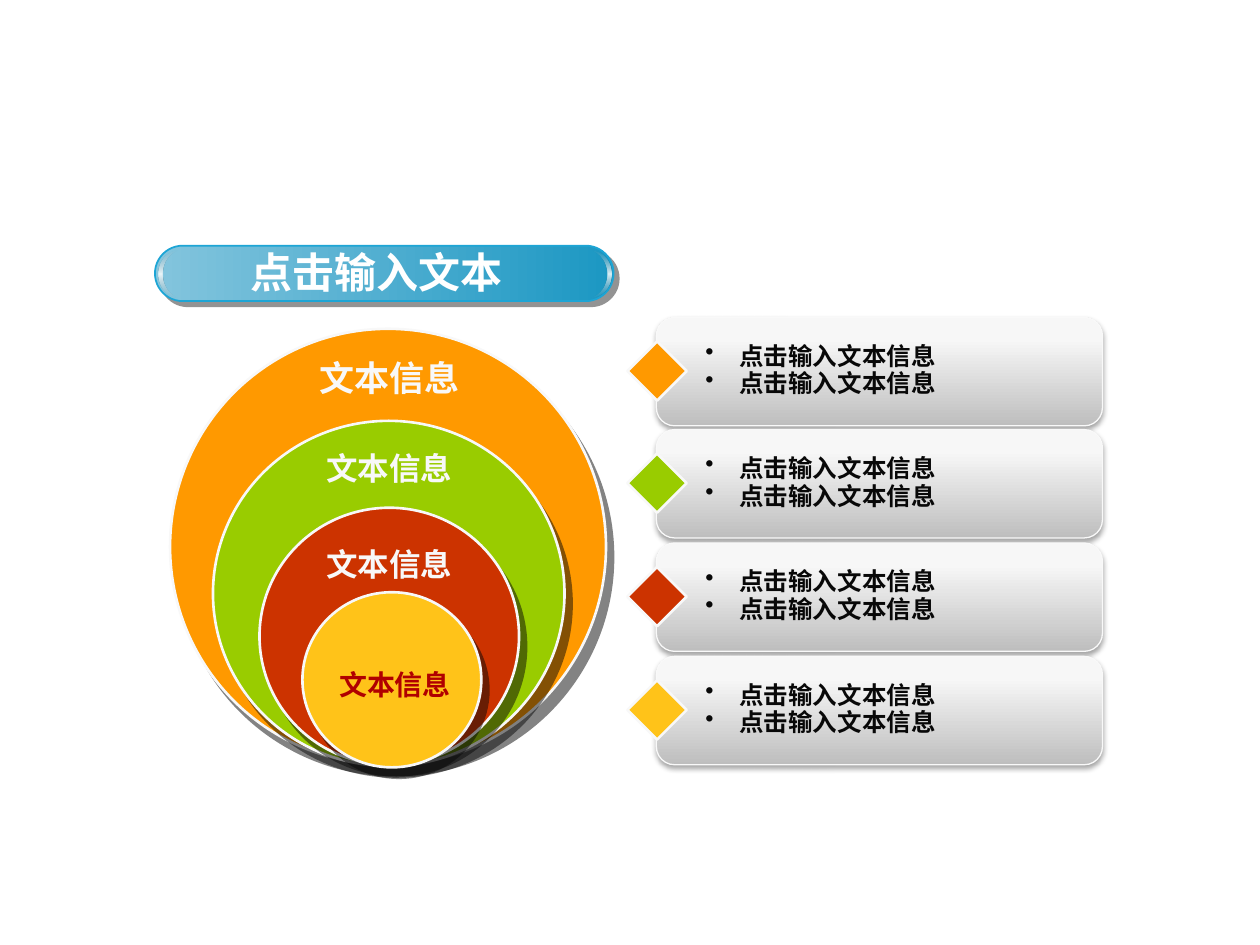
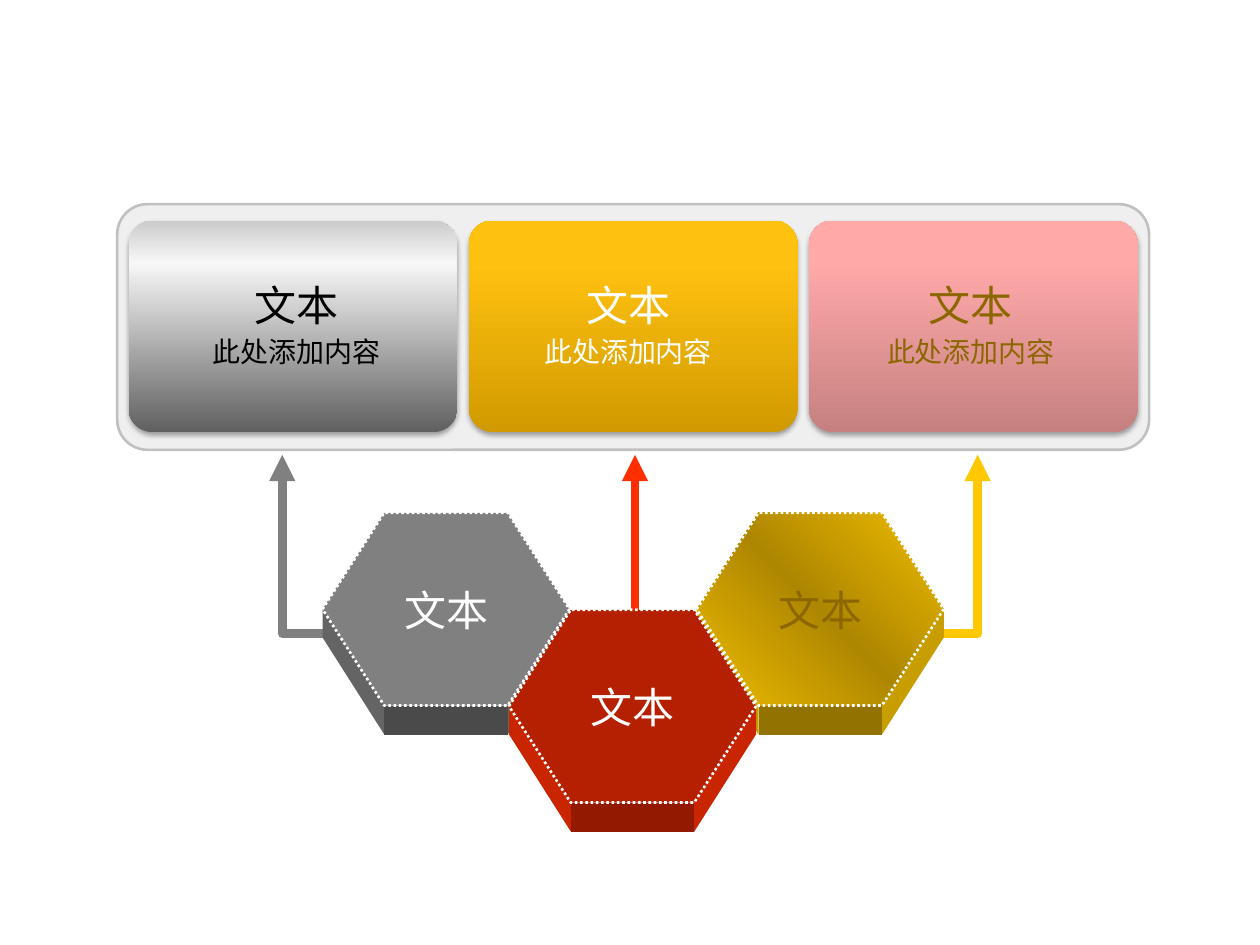
from dataclasses import dataclass
from typing import Any, Optional

import pptx
import pptx.dml.color
import pptx.enum.dml
import pptx.enum.shapes
import pptx.enum.text
import pptx.oxml
import pptx.oxml.ns
import pptx.util

PX = 9144  # one px is a hundredth of an inch
KIND = pptx.enum.shapes.MSO_SHAPE
ALIGN = pptx.enum.text.PP_ALIGN
ANCHOR = pptx.enum.text.MSO_ANCHOR
NAMESPACE = pptx.oxml.ns.nsdecls("a")
qn = pptx.oxml.ns.qn


@dataclass(frozen=True)
class Theme:
    body_font: str = "Arial"
    title_font: str = "Calibri"
    large: int = 24
    medium: int = 20
    normal: int = 18
    small: int = 16
    bullet: int = 14
    white: str = "FFFFFF"
    pale: str = "F8F8F8"
    black: str = "000000"
    ink: str = "080808"
    silver: str = "C0C0C0"
    tray: str = "EFEFEF"
    grey: str = "808080"
    red: str = "FF2F00"
    yellow: str = "FFC800"
    brown: str = "8C6700"
    crimson: str = "B00000"


THEME = Theme()


@dataclass(frozen=True)
class Box:
    left: int
    top: int
    width: int
    height: int

    def emu(self) -> list[int]:
        return [side * PX for side in (self.left, self.top, self.width, self.height)]


@dataclass(frozen=True)
class Stop:
    position: int
    color: str
    alpha: int = 100


@dataclass(frozen=True)
class Gradient:
    stops: tuple[Stop, ...]
    angle: int = 90  # counter-clockwise, 90 runs from bottom to top


@dataclass(frozen=True)
class Shadow:
    color: str
    alpha: int
    blur: float
    distance: float
    angle: int


@dataclass(frozen=True)
class Outline:
    color: str
    width: float
    dash: Any = None


@dataclass(frozen=True)
class Ring:
    box: Box
    color: str
    label_box: Box
    label_size: int
    label_color: str


@dataclass(frozen=True)
class Card:
    paint: Gradient
    text_left: int
    text_color: str


@dataclass(frozen=True)
class Hexagon:
    left: int
    top: int
    front: str | Gradient
    side: str
    base: str
    text_color: str


def rgb(color: str) -> pptx.dml.color.RGBColor:
    return pptx.dml.color.RGBColor.from_string(color)


def apply(target: Any, values: dict[str, Any]) -> None:
    for name, value in values.items():
        setattr(target, name, value)


def rise(low: str, high: str, top: str) -> Gradient:
    return Gradient((Stop(0, low), Stop(80, high), Stop(100, top)))


# Shared effects
SOFT_SHADOW = Shadow(THEME.black, 35, 3.1, 1.8, 90)
RING_SHADOW = Shadow(THEME.ink, 50, 0, 7.2, 56)
PILL_SHADOW = Shadow("292929", 50, 0, 4.2, 45)
DOTTED = Outline(THEME.white, 1.5, pptx.enum.dml.MSO_LINE.ROUND_DOT)
WHITE_EDGE = Outline(THEME.pale, 1.5)


def set_gradient(shape: Any, gradient: Gradient) -> None:
    shape.fill.gradient()
    shape.fill.gradient_angle = gradient.angle
    stop_list = shape.element.spPr.find(qn("a:gradFill")).find(qn("a:gsLst"))
    for old in list(stop_list):
        stop_list.remove(old)
    for stop in gradient.stops:
        stop_list.append(pptx.oxml.parse_xml(
            f'<a:gs {NAMESPACE} pos="{stop.position * 1000}"><a:srgbClr val="{stop.color}">'
            f'<a:alpha val="{stop.alpha * 1000}"/></a:srgbClr></a:gs>'))


def style(shape: Any, paint: str | Gradient | None, outline: Optional[Outline] = None,
          shadow: Optional[Shadow] = None) -> None:
    if isinstance(paint, Gradient):
        set_gradient(shape, paint)
    elif paint:
        shape.fill.solid()
        shape.fill.fore_color.rgb = rgb(paint)
    else:
        shape.fill.background()
    if outline:
        shape.line.color.rgb = rgb(outline.color)
        apply(shape.line, {"width": pptx.util.Pt(outline.width), "dash_style": outline.dash})
    else:
        shape.line.fill.background()
    shape.shadow.inherit = False
    if shadow:
        shape.element.spPr.find(qn("a:effectLst")).append(pptx.oxml.parse_xml(
            f'<a:outerShdw {NAMESPACE} blurRad="{pptx.util.Pt(shadow.blur)}" '
            f'dist="{pptx.util.Pt(shadow.distance)}" dir="{shadow.angle * 60000}" '
            f'algn="ctr" rotWithShape="0"><a:srgbClr val="{shadow.color}">'
            f'<a:alpha val="{shadow.alpha * 1000}"/></a:srgbClr></a:outerShdw>'))


def add_shape(page: Any, kind: Any, box: Box, paint: str | Gradient,
              outline: Optional[Outline] = None, shadow: Optional[Shadow] = None,
              adjust: Optional[float] = None) -> Any:
    shape = page.shapes.add_shape(kind, *box.emu())
    if adjust is not None:
        shape.adjustments[0] = adjust
    style(shape, paint, outline, shadow)
    return shape


def add_outline_shape(page: Any, points: list[tuple[int, int]], closed: bool) -> Any:
    builder = page.shapes.build_freeform(*points[0], scale=PX)
    builder.add_line_segments(points[1:], close=closed)
    return builder.convert_to_shape()


def write_span(para: Any, text: str, size: int, color: str, bold: bool = False,
               font: str = THEME.body_font) -> None:
    span = para.add_run()
    span.text = text
    apply(span.font, {"size": pptx.util.Pt(size), "bold": bold, "name": font})
    span.font.color.rgb = rgb(color)


def add_label(page: Any, box: Box, text: str, size: int, color: str, bold: bool = False) -> None:
    frame = page.shapes.add_textbox(*box.emu()).text_frame
    apply(frame, {"word_wrap": True, "vertical_anchor": ANCHOR.MIDDLE})
    frame.paragraphs[0].alignment = ALIGN.CENTER
    write_span(frame.paragraphs[0], text, size, color, bold)


def add_bullets(page: Any, box: Box, lines: list[str]) -> None:
    frame = page.shapes.add_textbox(*box.emu()).text_frame
    frame.word_wrap = True
    for index, text in enumerate(lines):
        para = frame.add_paragraph() if index else frame.paragraphs[0]
        properties = para._p.get_or_add_pPr()
        properties.set("marL", str(27 * PX))
        properties.set("indent", str(-27 * PX))
        properties.append(pptx.oxml.parse_xml(f'<a:buChar {NAMESPACE} char="•"/>'))
        apply(para, {"line_spacing": 0.7, "space_before": pptx.util.Pt(4 if index else 0)})
        write_span(para, text, THEME.bullet, THEME.ink, True)


def add_arrowhead(line_shape: Any) -> None:
    line_shape.line._get_or_add_ln().append(
        pptx.oxml.parse_xml(f'<a:tailEnd {NAMESPACE} type="triangle"/>'))


def add_hexagon(page: Any, hexagon: Hexagon) -> None:
    width, height, corner, depth = 196, 153, 49, 23
    left, right = hexagon.left, hexagon.left + width
    middle, bottom = hexagon.top + height // 2, hexagon.top + height
    lower_left, lower_right = (left + corner, bottom), (right - corner, bottom)
    # Side faces below the three lower edges
    for start, end, color in (((left, middle), lower_left, hexagon.side),
                              (lower_right, (right, middle), hexagon.side),
                              (lower_left, lower_right, hexagon.base)):
        points = [start, end, (end[0], end[1] + depth), (start[0], start[1] + depth)]
        style(add_outline_shape(page, points, True), color)
    add_shape(page, KIND.HEXAGON, Box(left, hexagon.top, width, height), hexagon.front,
              DOTTED, adjust=0.32)
    add_label(page, Box(left + 18, hexagon.top + 52, 160, 50), "文本", THEME.large,
              hexagon.text_color)


def build_rings_page(deck: Any) -> None:
    page = deck.slides.add_slide(deck.slide_layouts[5])

    # Title pill with a gleam at each end
    add_shape(page, KIND.ROUNDED_RECTANGLE, Box(123, 195, 364, 44),
              Gradient((Stop(0, "84C5DD"), Stop(100, "1B97C3")), 0),
              Outline("1DA5D5", 1), PILL_SHADOW, 0.5)
    gleam = Gradient((Stop(0, "B6B6B6", 0), Stop(50, THEME.white, 84), Stop(100, "B6B6B6", 0)))
    for left, rotation in ((469, 180), (126, 0)):
        moon = add_shape(page, KIND.MOON, Box(left, 199, 16, 37), gleam, adjust=0.22)
        moon.rotation = rotation
    title = page.shapes.title
    apply(title, dict(zip(("left", "top", "width", "height"), Box(153, 191, 291, 50).emu())))
    apply(title.text_frame, {"word_wrap": True, "vertical_anchor": ANCHOR.MIDDLE,
                             "auto_size": pptx.enum.text.MSO_AUTO_SIZE.NONE})
    title.text_frame.paragraphs[0].alignment = ALIGN.CENTER
    write_span(title.text_frame.paragraphs[0], "点击输入文本", THEME.large, THEME.white, True,
               THEME.title_font)
    title.element.getparent().append(title.element)

    rings = [
        Ring(Box(135, 261, 346, 346), "FF9900", Box(219, 281, 180, 38), THEME.medium, THEME.pale),
        Ring(Box(169, 334, 279, 274), "99CC00", Box(219, 354, 180, 35), THEME.normal, THEME.pale),
        Ring(Box(206, 403, 206, 204), "CC3300", Box(219, 430, 180, 35), THEME.normal, THEME.pale),
        Ring(Box(240, 470, 142, 139), "FFC319", Box(228, 525, 171, 37), THEME.small,
             THEME.crimson),
    ]

    # One panel per ring, keyed by a diamond
    for index, ring in enumerate(rings):
        top = 252 + 269 * index // 3
        add_shape(page, KIND.ROUNDED_RECTANGLE, Box(521, top, 354, 86),
                  rise("BEBEBE", "F7F7F7", THEME.pale), Outline("F9F9F9", 0.75),
                  SOFT_SHADOW, 0.167)
        add_shape(page, KIND.DIAMOND, Box(498, top + 19, 47, 47), ring.color, WHITE_EDGE)
        add_bullets(page, Box(550, top + 20, 320, 47), ["点击输入文本信息"] * 2)

    # Nested rings, then their labels on top
    for ring in rings:
        add_shape(page, KIND.OVAL, ring.box, ring.color, WHITE_EDGE, RING_SHADOW)
    for ring in rings:
        add_label(page, ring.label_box, "文本信息", ring.label_size, ring.label_color, True)


def build_hexagons_page(deck: Any) -> None:
    page = deck.slides.add_slide(deck.slide_layouts[6])

    # Arrows from the hexagons up to the tray
    arrow = page.shapes.add_connector(pptx.enum.shapes.MSO_CONNECTOR.STRAIGHT,
                                      504 * PX, 488 * PX, 504 * PX, 361 * PX)
    arrow.line.color.rgb = rgb(THEME.red)
    arrow.line.width = pptx.util.Pt(5)
    arrow.element.spPr.append(pptx.oxml.parse_xml(f"<a:effectLst {NAMESPACE}/>"))
    add_arrowhead(arrow)
    for start, end, color in ((720, 776, THEME.yellow), (280, 224, THEME.grey)):
        elbow = add_outline_shape(page, [(start, 503), (end, 503), (end, 361)], False)
        style(elbow, None, Outline(color, 5))
        add_arrowhead(elbow)

    # Tray with three cards
    add_shape(page, KIND.ROUNDED_RECTANGLE, Box(93, 162, 819, 195), THEME.tray,
              Outline(THEME.silver, 1.5), adjust=0.123)
    cards = [
        Card(rise("606060", "F7F7F7", "CCCCCC"), 156, THEME.black),
        Card(rise("D19A00", "FFC110", "FFC112"), 419, THEME.white),
        Card(rise("C68080", "FFA9A9", "FFABAB"), 691, THEME.brown),
    ]
    for index, card in enumerate(cards):
        add_shape(page, KIND.ROUNDED_RECTANGLE, Box(102 + 270 * index, 175, 261, 168),
                  card.paint, shadow=SOFT_SHADOW, adjust=0.114)
        add_label(page, Box(card.text_left, 217, 159, 50), "文本", THEME.large, card.text_color)
        add_label(page, Box(card.text_left, 260, 159, 37), "此处添加内容", THEME.small,
                  card.text_color)

    # Raised hexagons, the red one in front
    gold = Gradient((Stop(0, "F0BC00"), Stop(50, "AE8700"), Stop(100, "F0BC00")), 45)
    for hexagon in (
        Hexagon(256, 407, THEME.grey, "646464", "4A4A4A", THEME.white),
        Hexagon(553, 407, gold, "C89D00", "927200", THEME.brown),
        Hexagon(404, 484, "B52000", "C82500", "931A00", THEME.white),
    ):
        add_hexagon(page, hexagon)


def main() -> None:
    deck = pptx.Presentation()
    apply(deck, {"slide_width": 1000 * PX, "slide_height": 750 * PX})
    build_rings_page(deck)
    build_hexagons_page(deck)
    deck.save("out.pptx")


if __name__ == "__main__":
    main()
